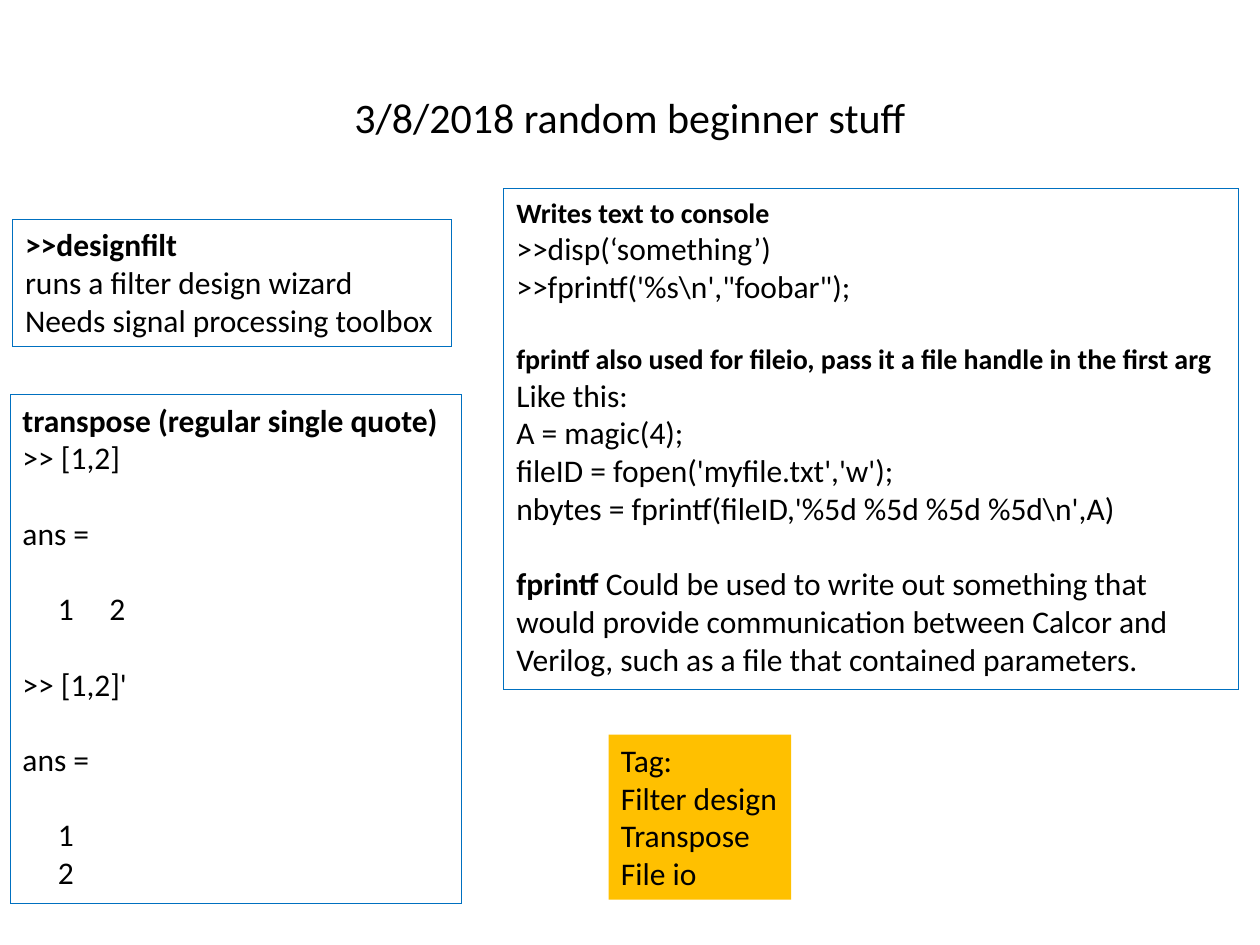
from dataclasses import dataclass

from pptx import Presentation
from pptx import util as u
from pptx.dml.color import RGBColor
from pptx.enum import text


@dataclass(frozen=True)
class Theme:
    font: str = "Calibri"
    ink: RGBColor = RGBColor(0x00, 0x00, 0x00)
    border: RGBColor = RGBColor(0x00, 0x70, 0xC0)
    tag: RGBColor = RGBColor(0xFF, 0xC0, 0x00)
    title: int = 24
    body: int = 18
    small: int = 16
    line_gap: float = 21.5


THEME = Theme()


@dataclass(frozen=True)
class Line:
    """One paragraph: an optional bold lead, then plain text."""
    plain: str = ""
    bold: str = ""
    size: int = THEME.body
    gap: float = 0


@dataclass(frozen=True)
class Note:
    left: float
    top: float
    width: float
    height: float
    lines: tuple[Line, ...]
    is_tag: bool = False


def spaced(plain: str = "", bold: str = "", size: int = THEME.body) -> Line:
    """A line set one line height below the one before it."""
    return Line(plain, bold, size, THEME.line_gap)


NOTES = (
    Note(0.1, 1.74, 3.48, 1.01, (
        Line(bold=">>designfilt"),
        Line("runs a filter design wizard"),
        Line("Needs signal processing toolbox"),
    )),
    Note(0.08, 3.13, 3.58, 4.04, (
        Line(bold="transpose (regular single quote)"),
        Line(">> [1,2]"),
        spaced("ans ="),
        spaced("     1     2"),
        spaced(">> [1,2]'"),
        spaced("ans ="),
        spaced("     1"),
        Line("     2"),
    )),
    Note(4, 1.5, 5.83, 3.97, (
        Line(bold="Writes text to console", size=THEME.small),
        Line(">>disp(‘something’)"),
        Line(""">>fprintf('%s\\n',"foobar");"""),
        spaced(bold="fprintf also used for fileio, pass it a file handle in the first arg",
               size=THEME.small),
        Line("Like this:"),
        Line("A = magic(4);"),
        Line("fileID = fopen('myfile.txt','w');"),
        Line("nbytes = fprintf(fileID,'%5d %5d %5d %5d\\n',A)"),
        spaced(" Could be used to write out something that would provide "
               "communication between Calcor and", bold="fprintf"),
        Line("Verilog, such as a file that contained parameters."),
    )),
    Note(4.83, 5.83, 1.45, 1.31, (
        Line("Tag:"),
        Line("Filter design"),
        Line("Transpose"),
        Line("File io"),
    ), is_tag=True),
)


def add_span(para, words: str, size: int, bold: bool = False) -> None:
    span = para.add_run()
    span.text = words
    for name, value in {"name": THEME.font, "size": u.Pt(size), "bold": bold}.items():
        setattr(span.font, name, value)
    span.font.color.rgb = THEME.ink


def add_title(page, words: str) -> None:
    title = page.shapes.title
    for name, value in {"left": 0.5, "top": 0.3, "width": 9, "height": 1.25}.items():
        setattr(title, name, u.Inches(value))
    title.text_frame.vertical_anchor = text.MSO_ANCHOR.MIDDLE
    para = title.text_frame.paragraphs[0]
    para.alignment = text.PP_ALIGN.CENTER
    add_span(para, words, THEME.title)


def add_note(page, note: Note) -> None:
    box = page.shapes.add_textbox(
        *map(u.Inches, (note.left, note.top, note.width, note.height)))
    if note.is_tag:
        box.fill.solid()
        box.fill.fore_color.rgb = THEME.tag
    else:
        box.line.color.rgb = THEME.border
    frame = box.text_frame
    frame.word_wrap = not note.is_tag
    frame.auto_size = text.MSO_AUTO_SIZE.SHAPE_TO_FIT_TEXT
    for index, line in enumerate(note.lines):
        para = frame.add_paragraph() if index else frame.paragraphs[0]
        if line.gap:
            para.space_before = u.Pt(line.gap)
        if line.bold:
            add_span(para, line.bold, line.size, bold=True)
        if line.plain:
            add_span(para, line.plain, line.size)


def main() -> None:
    deck = Presentation()
    deck.slide_width, deck.slide_height = u.Inches(10), u.Inches(7.5)
    page = deck.slides.add_slide(deck.slide_layouts.get_by_name("Title Only"))
    add_title(page, "3/8/2018 random beginner stuff")
    for note in NOTES:
        add_note(page, note)
    deck.save("out.pptx")


if __name__ == "__main__":
    main()
